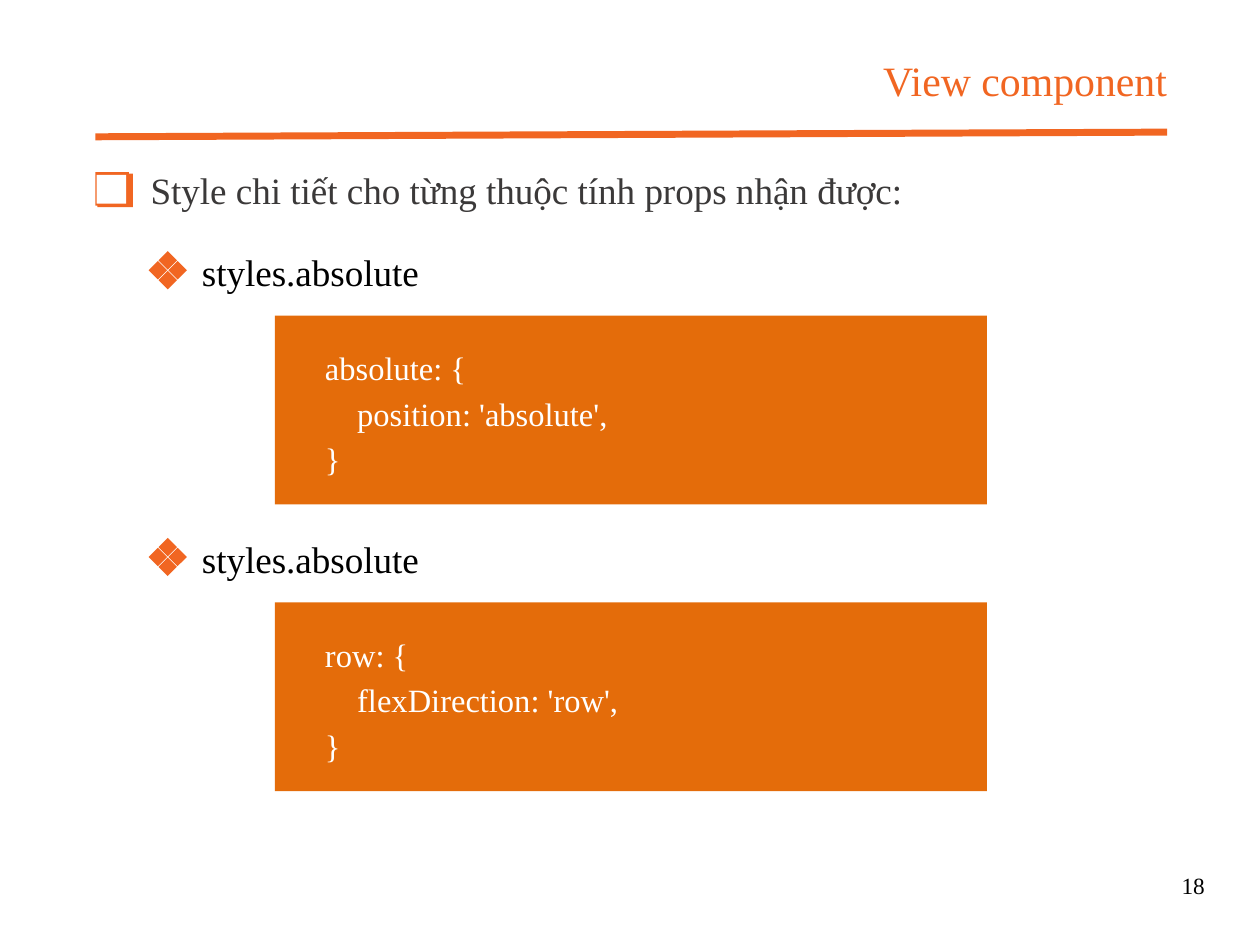
import pptx
import pptx.util
import pptx.dml.color
import pptx.enum.shapes
import pptx.enum.text
import lxml.etree
from pptx.util import Cm

ORANGE = pptx.dml.color.RGBColor(0xF1, 0x66, 0x22)
CODE_FILL = pptx.dml.color.RGBColor(0xE4, 0x6C, 0x0A)
GRAY = pptx.dml.color.RGBColor(0x3B, 0x39, 0x39)
BLACK = pptx.dml.color.RGBColor(0, 0, 0)
WHITE = pptx.dml.color.RGBColor(255, 255, 255)

FONT = "Times New Roman"
LINE_RATIO = 1.4
SHAPES = pptx.enum.shapes.MSO_SHAPE
ALIGN = pptx.enum.text.PP_ALIGN
DRAWING_NS = "http://schemas.openxmlformats.org/drawingml/2006/main"


def style_para(para, size, color, align=ALIGN.LEFT, indent=0):
    para.alignment = align
    para.line_spacing = pptx.util.Pt(round(size * LINE_RATIO, 1))
    para._p.get_or_add_pPr().set("marL", str(int(indent)))
    for span in para.runs:
        span.font.name = FONT
        span.font.size = pptx.util.Pt(size)
        span.font.color.rgb = color


def set_margins(frame, margin):
    frame.margin_left = frame.margin_right = margin
    frame.margin_top = frame.margin_bottom = margin


def add_label(page, left, top, width, height, text, size, color, align=ALIGN.LEFT):
    box = page.shapes.add_textbox(Cm(left), Cm(top), Cm(width), Cm(height))
    frame = box.text_frame
    frame.word_wrap = True
    set_margins(frame, 0)
    frame.text = text
    style_para(frame.paragraphs[0], size, color, align)


def add_filled(page, kind, left, top, width, height, color):
    shape = page.shapes.add_shape(kind, Cm(left), Cm(top), Cm(width), Cm(height))
    shape.shadow.inherit = False
    shape.fill.solid()
    shape.fill.fore_color.rgb = color
    shape.line.fill.background()
    return shape


def add_header(page, left, top, width, title):
    # Slightly rising rule under a right-aligned title
    rule = page.shapes.add_connector(
        pptx.enum.shapes.MSO_CONNECTOR.STRAIGHT,
        Cm(left), Cm(top + 1.37), Cm(left + width), Cm(top + 1.3))
    rule.line.color.rgb = ORANGE
    rule.line.width = pptx.util.Pt(3)
    lxml.etree.SubElement(rule._element.spPr, f"{{{DRAWING_NS}}}effectLst")
    add_label(page, left, top, width, 0.89, title, 18, ORANGE, ALIGN.RIGHT)


def add_topic(page, left, top, width, text):
    # Checkbox bullet: two offset squares with a white face
    for dx, dy, w, h, color in (
            (0.03, 0.2, 0.54, 0.51, ORANGE),
            (0, 0.18, 0.51, 0.51, ORANGE),
            (0.02, 0.22, 0.45, 0.44, WHITE)):
        add_filled(page, SHAPES.RECTANGLE, left + dx, top + dy, w, h, color)
    add_label(page, left + 0.84, top, width - 0.84, 0.79, text, 16, GRAY)


def add_heading(page, left, top, width, text):
    # Bullet of four small diamonds around a centre
    size, offset = 0.28, 0.15
    center_x, center_y = left + 0.29, top + 0.43
    for dx, dy in ((0, -1), (1, 0), (0, 1), (-1, 0)):
        add_filled(page, SHAPES.DIAMOND,
                   center_x + dx * offset - size / 2,
                   center_y + dy * offset - size / 2, size, size, ORANGE)
    add_label(page, left + 0.81, top, width - 0.81, 0.79, text, 16, BLACK)


def add_code(page, left, top, width, height, lines):
    panel = add_filled(page, SHAPES.RECTANGLE, left, top, width, height, CODE_FILL)
    frame = panel.text_frame
    frame.word_wrap = True
    frame.vertical_anchor = pptx.enum.text.MSO_ANCHOR.MIDDLE
    set_margins(frame, Cm(0.15))
    frame.text = "\n".join(text for _, text in lines)
    for para, (level, _) in zip(frame.paragraphs, lines):
        style_para(para, 14, WHITE, indent=Cm(0.61 + 0.49 * level))


def main():
    deck = pptx.Presentation()
    deck.slide_width, deck.slide_height = Cm(19.15), Cm(14.4)
    page = deck.slides.add_slide(deck.slide_layouts[6])

    left, width = 1.45, 16.29
    add_header(page, left, 0.71, width, "View component")
    add_topic(page, left, 2.44, width,
              "Style chi tiết cho từng thuộc tính props nhận được:")

    # Style examples: heading with a code panel below
    examples = (("absolute: {", "position: 'absolute',"),
                ("row: {", "flexDirection: 'row',"))
    for index, (opening, rule) in enumerate(examples):
        top = 3.68 + index * 4.36
        add_heading(page, left + 0.81, top, width - 0.81, "styles.absolute")
        add_code(page, 4.18, top + 1.12, 10.82, 2.87,
                 ((0, opening), (1, rule), (0, "}")))

    # Page number
    add_label(page, 17.73, 13.18, 0.58, 0.51, "18", 10, BLACK, ALIGN.RIGHT)
    deck.save("out.pptx")


if __name__ == "__main__":
    main()
